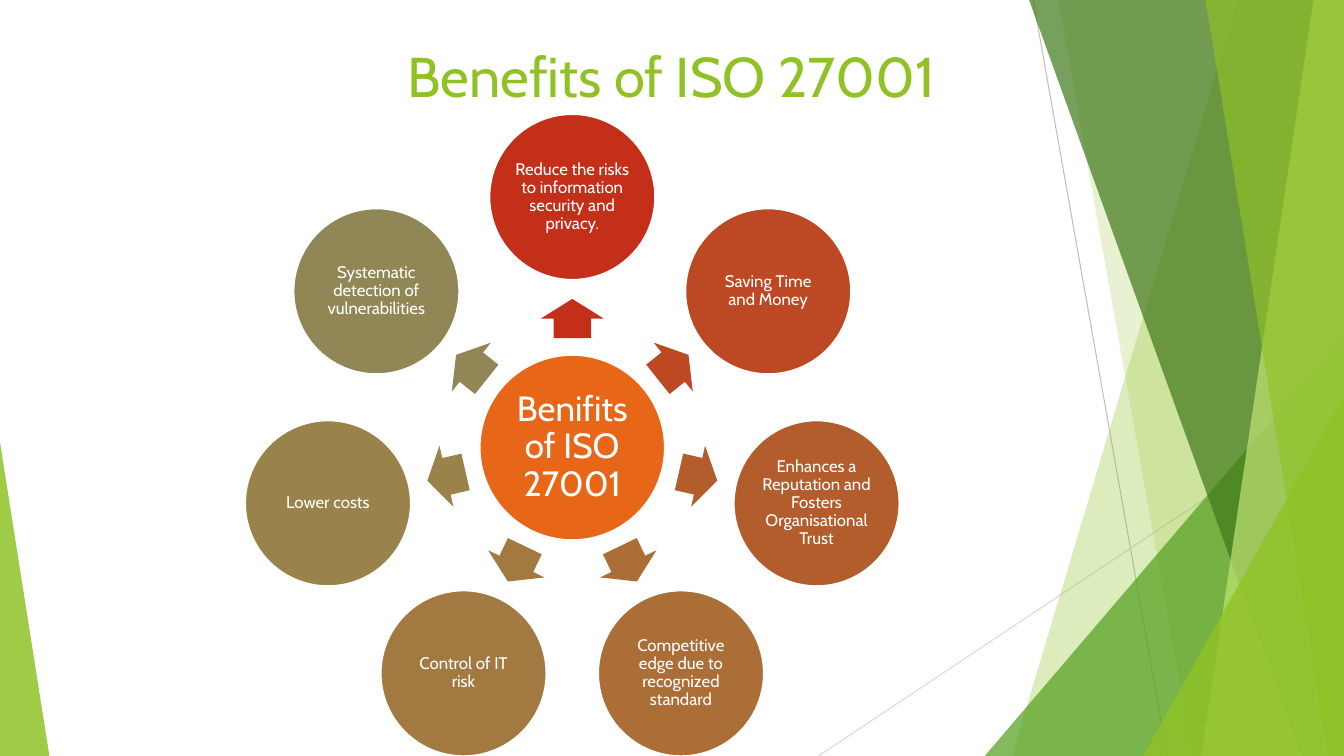
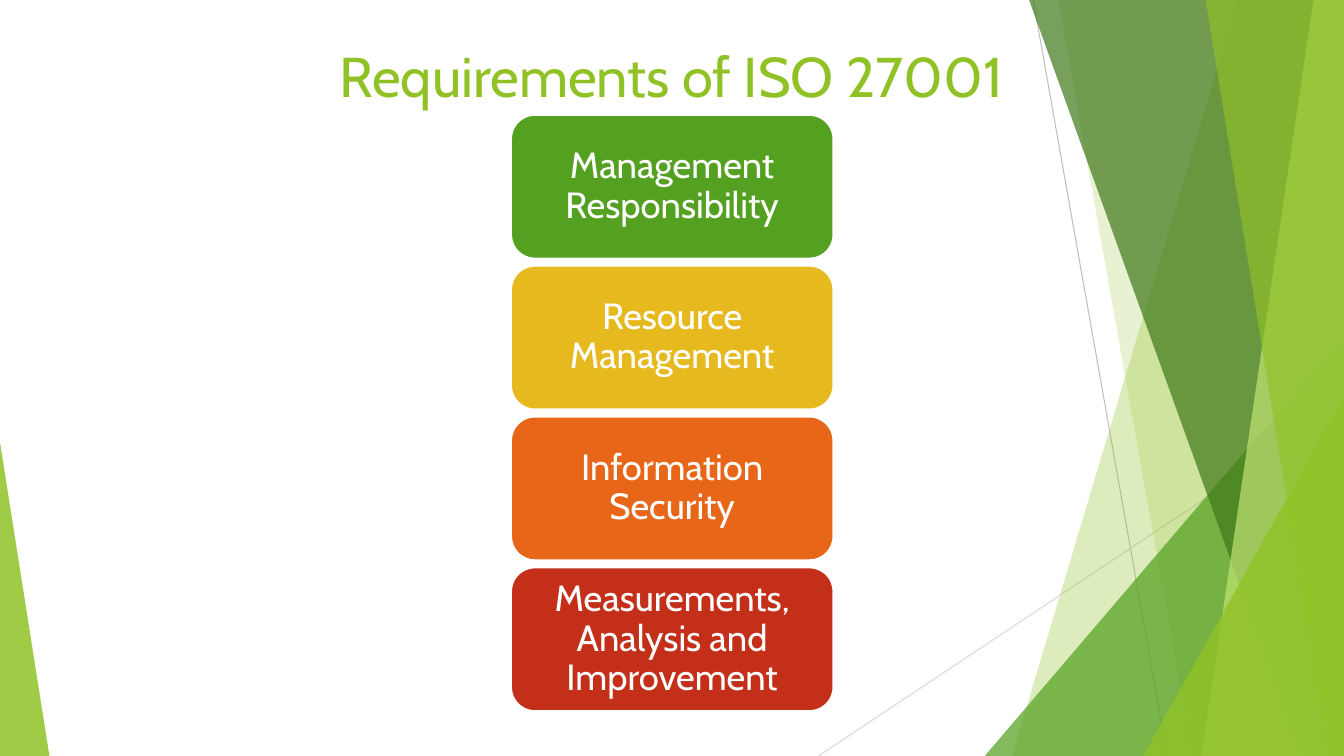
import math
from dataclasses import dataclass

import lxml.etree
import pptx
import pptx.dml.color
import pptx.enum.shapes
import pptx.enum.text
import pptx.oxml.ns
import pptx.util

Pt = pptx.util.Pt
Shapes = pptx.enum.shapes.MSO_SHAPE
Anchor = pptx.enum.text.MSO_ANCHOR


@dataclass(frozen=True)
class Theme:
    font: str = "Cabin"
    lime: str = "90C226"
    pale_lime: str = "C0E474"
    green: str = "54A021"
    dark_green: str = "3F7819"
    yellow: str = "E6B91E"
    orange: str = "E76618"
    red: str = "C42F1A"
    white: str = "FFFFFF"
    gray: str = "BFBFBF"
    light_gray: str = "D9D9D9"
    ring: tuple = ("C42F1A", "BC4824", "B35D2D", "AB6E37", "A27A41", "9A824B", "918655")
    title_size: float = 40
    block_size: float = 26
    hub_size: float = 25
    ring_size: float = 12
    outline: float = 1.5
    hairline: float = 0.75


@dataclass(frozen=True)
class Box:
    left: float
    top: float
    width: float
    height: float

    def lengths(self):
        return Pt(self.left), Pt(self.top), Pt(self.width), Pt(self.height)

    @staticmethod
    def around(x, y, width, height):
        return Box(x - width / 2, y - height / 2, width, height)


THEME = Theme()
PAGE = Box(0, 0, 960, 540)
TITLE = Box(65.5, 13.5, 828, 67.9)
RADIAL = Box(175, 81.4, 467.6, 458)
STACK = Box(365, 82, 230.4, 426)


def rgb(color):
    return pptx.dml.color.RGBColor.from_string(color)


def write_text(shape, text, size, color=THEME.white, anchor=Anchor.MIDDLE,
               insets=(7.2, 3.6), line_spacing=1.0):
    frame = shape.text_frame
    frame.word_wrap = True
    frame.vertical_anchor = anchor
    frame.margin_left = frame.margin_right = Pt(insets[0])
    frame.margin_top = frame.margin_bottom = Pt(insets[1])
    para = frame.paragraphs[0]
    para.alignment = pptx.enum.text.PP_ALIGN.CENTER
    para.line_spacing = line_spacing
    span = para.add_run()
    span.text = text
    span.font.name = THEME.font
    span.font.size = Pt(size)
    span.font.color.rgb = rgb(color)


def paint(shape, color, outline=None, opacity=100):
    shape.shadow.inherit = False
    shape.fill.solid()
    shape.fill.fore_color.rgb = rgb(color)
    if outline:
        shape.line.color.rgb = rgb(outline)
        shape.line.width = Pt(THEME.outline)
    else:
        shape.line.fill.background()
    if opacity < 100:
        fill = shape.element.xpath("./p:spPr/a:solidFill/a:srgbClr")[0]
        alpha = lxml.etree.SubElement(fill, pptx.oxml.ns.qn("a:alpha"))
        alpha.set("val", str(opacity * 1000))


def add_preset(page, kind, box, color, **style):
    shape = page.shapes.add_shape(kind, *box.lengths())
    paint(shape, color, **style)
    return shape


def add_hairline(page, start, end, color):
    line = page.shapes.add_connector(
        pptx.enum.shapes.MSO_CONNECTOR.STRAIGHT, *map(Pt, start + end))
    line.line.color.rgb = rgb(color)
    line.line.width = Pt(THEME.hairline)
    lxml.etree.SubElement(line.element.spPr, pptx.oxml.ns.qn("a:effectLst"))


def add_band(page, box, top_x, bottom_x, color, opacity):
    """Fill from a slanting left edge to the right side of the box."""
    right, bottom = box.left + box.width, box.top + box.height
    corners = [(top_x, box.top), (right, box.top), (right, bottom), (bottom_x, bottom)]
    points = [(Pt(box.left + x) if x < right else Pt(right), Pt(y)) for x, y in corners]
    builder = page.shapes.build_freeform(*points[0])
    builder.add_line_segments(points[1:], close=True)
    paint(builder.convert_to_shape(), color, opacity=opacity)


def add_corner(page, box, width, height, apex, color, opacity):
    """Fill a bottom corner of the box: apex 0 is left, 1 is right."""
    corner = Box(box.left + apex * (box.width - width),
                 box.top + box.height - height, width, height)
    shape = add_preset(page, Shapes.ISOSCELES_TRIANGLE, corner, color, opacity=opacity)
    shape.adjustments[0] = apex


def add_backdrop(page, box):
    right, bottom = box.left + box.width, box.top + box.height
    add_hairline(page, (box.left + 738, box.top), (box.left + 833.8, bottom), THEME.gray)
    add_hairline(page, (right, box.top + 290.2), (box.left + 584.6, bottom), THEME.light_gray)
    add_band(page, box, 884.2, 722.9, THEME.lime, 30)
    add_band(page, box, 756, 851.8, THEME.lime, 20)
    add_corner(page, box, 256.6, 300.2, 1, THEME.green, 72)
    add_band(page, box, 735.1, 929.5, THEME.dark_green, 70)
    add_band(page, box, 938.2, 858.2, THEME.pale_lime, 70)
    add_band(page, box, 861.1, 949, THEME.lime, 65)
    add_corner(page, box, 143.5, 257, 1, THEME.lime, 80)
    add_corner(page, box, 35.3, 224, 0, THEME.lime, 85)


def add_title(page, box, text):
    title = page.shapes.add_textbox(*box.lengths())
    write_text(title, text, THEME.title_size, color=THEME.lime, anchor=Anchor.BOTTOM)


def add_disc(page, x, y, diameter, color, text, size, inset):
    disc = add_preset(page, Shapes.OVAL, Box.around(x, y, diameter, diameter),
                      color, outline=THEME.white)
    write_text(disc, text, size, insets=(inset, inset), line_spacing=0.9)


def add_radial(page, box, hub, benefits):
    """Place a hub with discs evenly around it, clockwise from the top."""
    disc, orbit, arrow_orbit = 118.6, 179, 92.2
    x, y = box.left + box.width / 2, box.top + disc / 2 + orbit
    add_disc(page, x, y, 132.5, THEME.orange, hub, THEME.hub_size, 2.3)
    for index, (benefit, color) in enumerate(zip(benefits, THEME.ring)):
        degrees = 360 * index / len(benefits) - 90
        across, down = math.cos(math.radians(degrees)), math.sin(math.radians(degrees))
        arrow = add_preset(
            page, Shapes.RIGHT_ARROW,
            Box.around(x + arrow_orbit * across, y + arrow_orbit * down, 28, 44.7), color)
        arrow.adjustments[0] = 0.6
        arrow.adjustments[1] = 0.5
        arrow.rotation = degrees % 360
        add_disc(page, x + orbit * across, y + orbit * down, disc, color,
                 benefit, THEME.ring_size, 1.2)


def add_stack(page, box, blocks, gap=5):
    height = (box.height - gap * (len(blocks) - 1)) / len(blocks)
    for index, (text, color) in enumerate(blocks):
        place = Box(box.left, box.top + index * (height + gap), box.width, height)
        block = add_preset(page, Shapes.ROUNDED_RECTANGLE, place, color, outline=THEME.white)
        write_text(block, text, THEME.block_size, insets=(7.8, 3.9), line_spacing=0.9)


def add_page(deck, title):
    page = deck.slides.add_slide(deck.slide_layouts[6])
    add_backdrop(page, PAGE)
    add_title(page, TITLE, title)
    return page


def main():
    deck = pptx.Presentation()
    deck.slide_width, deck.slide_height = Pt(PAGE.width), Pt(PAGE.height)

    add_radial(add_page(deck, "Benefits of ISO 27001"), RADIAL, "Benifits of ISO 27001", [
        "Reduce the risks to information security and privacy.",
        "Saving Time and Money",
        "Enhances a Reputation and Fosters Organisational Trust",
        "Competitive edge due to recognized standard",
        "Control of IT risk",
        "Lower costs",
        "Systematic detection of vulnerabilities",
    ])
    add_stack(add_page(deck, "Requirements of ISO 27001"), STACK, [
        ("Management Responsibility", THEME.green),
        ("Resource Management", THEME.yellow),
        ("Information Security", THEME.orange),
        ("Measurements, Analysis and Improvement", THEME.red),
    ])
    deck.save("out.pptx")


if __name__ == "__main__":
    main()
